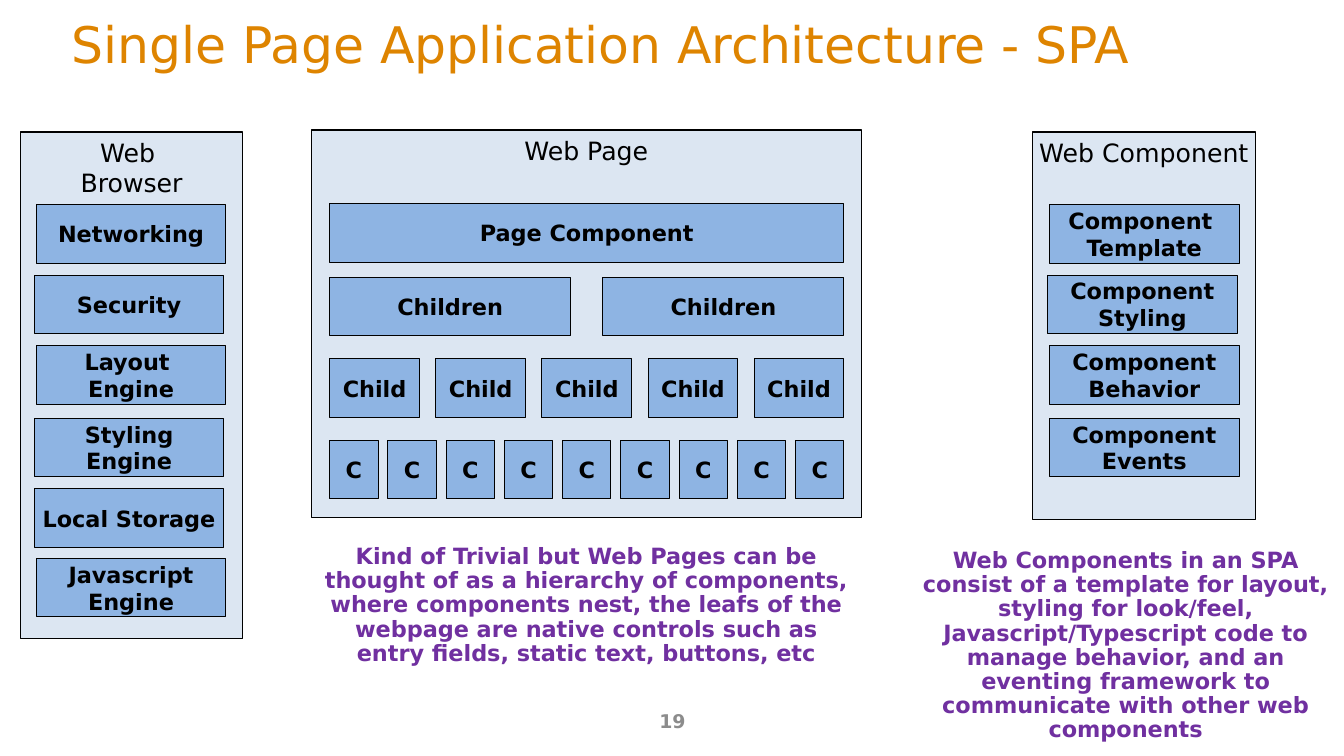
from pptx import Presentation
from pptx.dml.color import RGBColor
from pptx.enum.shapes import MSO_SHAPE
from pptx.enum.text import MSO_ANCHOR, PP_ALIGN
from pptx.util import Inches, Pt

PANEL, BLOCK, BLACK = "DCE6F2", "8EB4E3", "000000"
ORANGE, PURPLE, GRAY = "DE8400", "7030A0", "8C8C8C"

deck = Presentation()
deck.slide_width, deck.slide_height = Inches(13.33), Inches(7.5)
page = deck.slides.add_slide(deck.slide_layouts[6])


def write(box, paragraphs, size, color, bold=False, align=PP_ALIGN.CENTER,
          anchor=MSO_ANCHOR.TOP, wrap=True, spacing=None):
    """Fill a box with paragraphs; a newline is a line break."""
    frame = box.text_frame
    frame.word_wrap = wrap
    frame.vertical_anchor = anchor
    for number, text in enumerate(paragraphs):
        para = frame.add_paragraph() if number else frame.paragraphs[0]
        para.alignment = align
        if spacing:
            para.line_spacing = spacing
        for row, line in enumerate(text.split("\n")):
            if row:
                para.add_line_break()
            span = para.add_run()
            span.text = line
            span.font.name = "DejaVu Sans"
            span.font.size = Pt(size)
            span.font.bold = bold
            span.font.color.rgb = RGBColor.from_string(color)


def add_rect(left, top, width, height, fill, paragraphs, **style):
    """Draw a thinly outlined rectangle with centred text."""
    box = page.shapes.add_shape(MSO_SHAPE.RECTANGLE, Inches(left), Inches(top),
                                Inches(width), Inches(height))
    box.shadow.inherit = False
    box.fill.solid()
    box.fill.fore_color.rgb = RGBColor.from_string(fill)
    box.line.color.rgb = RGBColor.from_string(BLACK)
    box.line.width = Pt(0.75)
    write(box, paragraphs, color=BLACK, wrap=False, **style)


block_style = dict(size=16, bold=True, anchor=MSO_ANCHOR.MIDDLE)
block_height = 0.58

# Title and page number
title = page.shapes.add_textbox(Inches(0.61), Inches(0.05), Inches(11.96), Inches(0.76))
write(title, ["Single Page Application Architecture - SPA"], 36, ORANGE,
      align=PP_ALIGN.LEFT, anchor=MSO_ANCHOR.MIDDLE)
page_number = page.shapes.add_textbox(Inches(4.56), Inches(6.95), Inches(4.22), Inches(0.4))
write(page_number, ["19"], 13.5, GRAY, bold=True, anchor=MSO_ANCHOR.MIDDLE)

# Panels
panels = [
    (0.2, 1.31, 2.21, 5.03, ["Web ", "Browser"]),
    (3.09, 1.29, 5.45, 3.84, ["Web Page"]),
    (10.24, 1.31, 2.21, 3.84, ["Web Component"]),
]
for left, top, width, height, heading in panels:
    add_rect(left, top, width, height, PANEL, heading, size=18)

# Stacks of blocks in the browser and component panels
block_tops = [2.03, 2.73, 3.43, 4.15, 4.85, 5.54]
stacks = [
    ([0.36, 0.34, 0.36, 0.34, 0.34, 0.36],
     ["Networking", "Security", "Layout \nEngine", "Styling\nEngine",
      "Local Storage", "Javascript\nEngine"]),
    ([10.41, 10.39, 10.41, 10.41],
     ["Component \nTemplate", "Component\nStyling", "Component\nBehavior",
      "Component\nEvents"]),
]
for lefts, labels in stacks:
    for left, top, label in zip(lefts, block_tops, labels):
        add_rect(left, top, 1.88, block_height, BLOCK, [label], **block_style)

# Component hierarchy, each level spread evenly over the same width
tree_left, tree_width = 3.27, 5.1
levels = [
    (2.02, 1, 5.1, "Page Component"),
    (2.75, 2, 2.39, "Children"),
    (3.56, 5, 0.89, "Child"),
    (4.37, 9, 0.48, "C"),
]
for top, count, width, label in levels:
    step = (tree_width - width) / max(count - 1, 1)
    for column in range(count):
        add_rect(tree_left + column * step, top, width, block_height, BLOCK,
                 [label], **block_style)

# Captions
captions = [
    (3.09, 5.36, 5.45, 1.31,
     "Kind of Trivial but Web Pages can be thought of as a hierarchy of components, "
     "where components nest, the leafs of the webpage are native controls such as "
     "entry fields, static text, buttons, etc"),
    (9, 5.4, 4.33, 2.04,
     "Web Components in an SPA consist of a template for layout, styling for look/feel, "
     "Javascript/Typescript code to manage behavior, and an eventing framework to "
     "communicate with other web components"),
]
for left, top, width, height, text in captions:
    caption = page.shapes.add_textbox(Inches(left), Inches(top), Inches(width), Inches(height))
    write(caption, [text], 16, PURPLE, bold=True, spacing=0.9)

deck.save("out.pptx")
